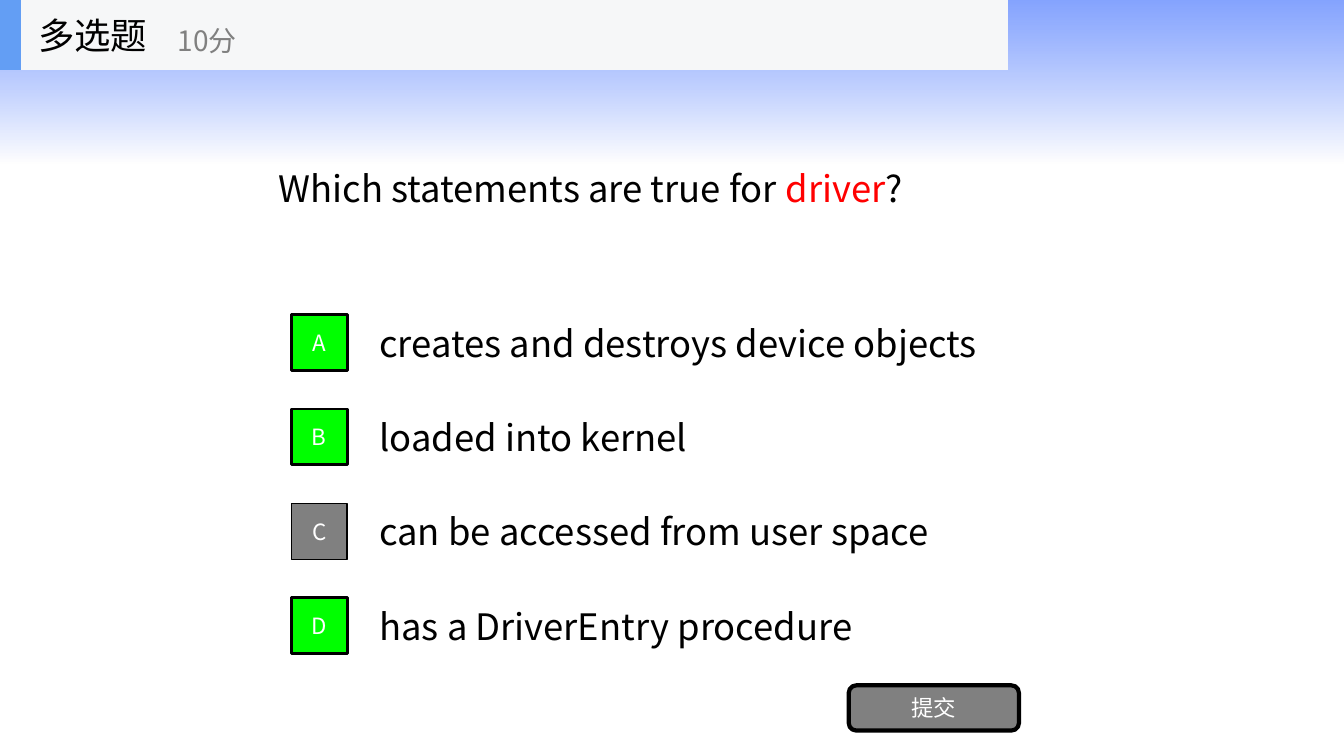
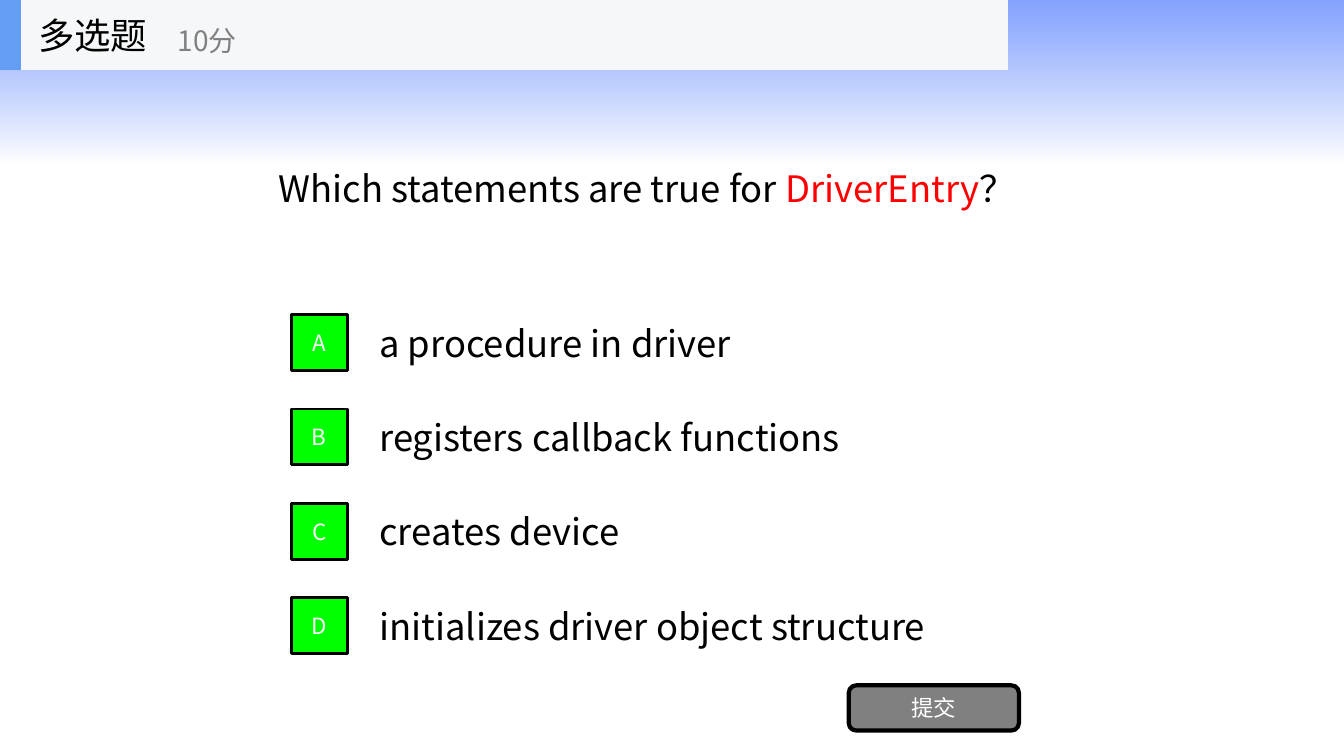
from lxml.etree import SubElement
from pptx import Presentation
from pptx.dml.color import RGBColor
from pptx.enum.shapes import MSO_SHAPE as Shape
from pptx.enum.text import MSO_ANCHOR as Anchor, PP_ALIGN as Align
from pptx.oxml.ns import qn
from pptx.util import Cm, Pt

# Shared style
FONT = "Noto Sans CJK SC"
BLACK, WHITE, GREY, RED = "000000", "FFFFFF", "808080", "FF0000"
GREEN, PALE, ACCENT = "00FF00", "F6F7F8", "639EF4"
BAND_STOPS = [("3366FF", 60), (WHITE, 70)]  # colour, opacity in percent

# Shared layout in centimetres
SLIDE_W, SLIDE_H = 33.87, 19.05
BAND_H, HEADER_H = 4.11, 1.76
OPTION_TOP, OPTION_H, OPTION_STEP = 7.74, 1.78, 2.38
BADGE = 1.41

# Question runs, then options with whether each is marked correct
QUESTIONS = [
    ([("Which statements are true for ", BLACK), ("driver", RED), ("?", BLACK)],
     [("creates and destroys device objects", True),
      ("loaded into kernel", True),
      ("can be accessed from user space", False),
      ("has a DriverEntry procedure", True)]),
    ([("Which statements are true for ", BLACK), ("DriverEntry", RED), ("？", BLACK)],
     [("a procedure in driver", True),
      ("registers callback functions", True),
      ("creates device", True),
      ("initializes driver object structure", True)]),
]


def color(hex_code):
    return RGBColor.from_string(hex_code)


def write(shape, runs, size, align=Align.LEFT):
    frame = shape.text_frame
    frame.word_wrap = True
    frame.vertical_anchor = Anchor.MIDDLE
    paragraph = frame.paragraphs[0]
    paragraph.alignment = align
    for text, hex_code in runs:
        run = paragraph.add_run()
        run.text = text
        run.font.size = Pt(size)
        run.font.name = FONT
        run.font.color.rgb = color(hex_code)
        # East Asian characters need their own font entry
        SubElement(run.font._element, qn("a:ea"), typeface=FONT)


def add_label(shapes, box, runs, size=26):
    write(shapes.add_textbox(*map(Cm, box)), runs, size)


def add_block(shapes, box, fill, line=0, kind=Shape.RECTANGLE, text=None):
    block = shapes.add_shape(kind, *map(Cm, box))
    block.shadow.inherit = False
    block.fill.solid()
    block.fill.fore_color.rgb = color(fill)
    if line:
        block.line.color.rgb = color(BLACK)
        block.line.width = Pt(line)
    else:
        block.line.fill.background()
    if text:
        write(block, [(text, WHITE)], 16, Align.CENTER)
    return block


def add_master_band(master, slide):
    """Draw the fading band and move it to the master."""
    band = add_block(slide.shapes, (0, 0, SLIDE_W, BAND_H), WHITE)
    band.fill.gradient()
    band.fill.gradient_angle = 270
    for stop, (hex_code, opacity) in zip(band.fill.gradient_stops, BAND_STOPS):
        stop.color.rgb = color(hex_code)
    for tone, (_, opacity) in zip(band.element.iter(qn("a:srgbClr")), BAND_STOPS):
        SubElement(tone, qn("a:alpha"), val=str(opacity * 1000))
    # Behind the master's placeholders, after the two group property elements
    master.element.cSld.spTree.insert(2, band.element)


def add_header(slide):
    header = slide.shapes.add_group_shape().shapes
    add_block(header, (0, 0, 25.4, HEADER_H), PALE)
    add_block(header, (0, 0, 0.53, HEADER_H), ACCENT)
    add_label(header, (0.71, 0, 5.29, HEADER_H), [("多选题", BLACK)])
    add_label(header, (4.23, 0.31, 6.35, 1.43), [("10分", GREY)], 20)


def add_options(slide, options):
    tops = [OPTION_TOP + i * OPTION_STEP for i in range(len(options))]
    for top, (statement, _) in zip(tops, options):
        add_label(slide.shapes, (9.31, top, 17.78, OPTION_H), [(statement, BLACK)])
    for letter, top, (_, correct) in zip("ABCD", tops, options):
        badge_top = top + (OPTION_H - BADGE) / 2
        fill, line = (GREEN, 2) if correct else (GREY, 1)
        add_block(slide.shapes, (7.34, badge_top, BADGE, BADGE), fill, line, text=letter)


def add_submit(slide):
    add_block(slide.shapes, (21.39, 17.27, 4.29, 1.14), GREY, 3,
              Shape.ROUNDED_RECTANGLE, "提交")


def main():
    prs = Presentation()
    prs.slide_width, prs.slide_height = Cm(SLIDE_W), Cm(SLIDE_H)
    blank = prs.slide_layouts[6]
    for number, (question, options) in enumerate(QUESTIONS):
        slide = prs.slides.add_slide(blank)
        if number == 0:
            add_master_band(prs.slide_master, slide)
        add_label(slide.shapes, (6.77, HEADER_H, 20.32, 5.94), question)
        add_options(slide, options)
        add_submit(slide)
        add_header(slide)
    prs.save("out.pptx")


if __name__ == "__main__":
    main()
